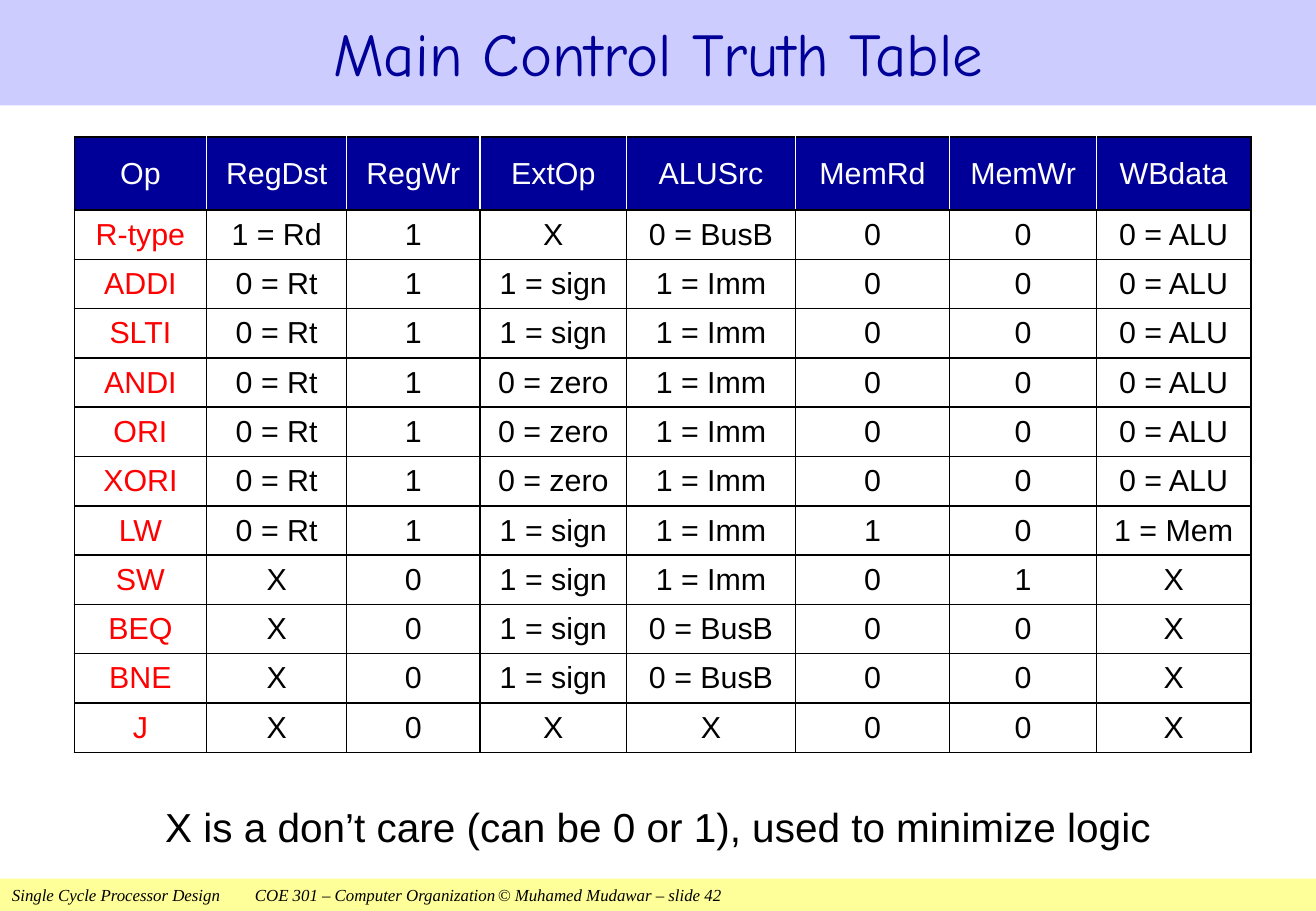
from lxml import etree
from pptx import Presentation
from pptx import util as u
from pptx.dml.color import RGBColor
from pptx.enum import shapes, text
from pptx.oxml import ns

HUES = {"navy": "000099", "lilac": "CCCCFF", "lemon": "FFFF99",
        "red": "FF0000", "black": "000000", "white": "FFFFFF"}
WIDE, HIGH = 780, 540
HEADS = "Op RegDst RegWr ExtOp ALUSrc MemRd MemWr WBdata".split()
RULES = """R-type|1 = Rd|1|X|0 = BusB|0|0|0 = ALU
ADDI|0 = Rt|1|1 = sign|1 = Imm|0|0|0 = ALU
SLTI|0 = Rt|1|1 = sign|1 = Imm|0|0|0 = ALU
ANDI|0 = Rt|1|0 = zero|1 = Imm|0|0|0 = ALU
ORI|0 = Rt|1|0 = zero|1 = Imm|0|0|0 = ALU
XORI|0 = Rt|1|0 = zero|1 = Imm|0|0|0 = ALU
LW|0 = Rt|1|1 = sign|1 = Imm|1|0|1 = Mem
SW|X|0|1 = sign|1 = Imm|0|1|X
BEQ|X|0|1 = sign|0 = BusB|0|0|X
BNE|X|0|1 = sign|0 = BusB|0|0|X
J|X|0|X|X|0|0|X"""
WIDTHS = [78.5, 83, 79, 87, 100, 91.5, 87, 91.5]


class Deck:
    """Holds the style and the current slide, and draws each kind of element."""

    def __init__(self, show):
        """Add a title-only slide to the show."""
        self.slide = show.slides.add_slide(show.slide_layouts[5])

    def hue(self, name):
        """Return a named colour."""
        return RGBColor.from_string(HUES[name])

    def paint(self, shape, name):
        """Fill a shape or cell with a named colour."""
        shape.fill.solid()
        shape.fill.fore_color.rgb = self.hue(name)

    def label(self, frame, words, size, hue="black", font="Arial",
              align=text.PP_ALIGN.CENTER, slant=False):
        """Put one formatted line of words in a text frame."""
        frame.text = words
        para = frame.paragraphs[0]
        para.alignment = align
        for run in para.runs:
            run.font.size, run.font.name = u.Pt(size), font
            run.font.italic = slant
            run.font.color.rgb = self.hue(hue)
        return para

    def title(self, words, high):
        """Format the title placeholder as a band across the top."""
        band = self.slide.shapes.title
        band.left, band.top = u.Pt(0), u.Pt(0)
        band.width, band.height = u.Pt(WIDE), u.Pt(high)
        self.paint(band, "lilac")
        frame = band.text_frame
        frame.auto_size = text.MSO_AUTO_SIZE.NONE
        frame.vertical_anchor = text.MSO_ANCHOR.MIDDLE
        self.label(frame, words, 36, "navy", "Comic Neue")

    def footer(self, words, high, stops):
        """Draw the bottom band with its tabbed line."""
        band = self.slide.shapes.add_shape(
            shapes.MSO_SHAPE.RECTANGLE, u.Pt(0), u.Pt(HIGH - high), u.Pt(WIDE), u.Pt(high))
        band.shadow.inherit = False
        band.line.fill.background()
        self.paint(band, "lemon")
        frame = band.text_frame
        frame.margin_top = frame.margin_bottom = u.Pt(0)
        frame.vertical_anchor = text.MSO_ANCHOR.MIDDLE
        para = self.label(frame, words, 10, font="Times New Roman",
                          align=text.PP_ALIGN.LEFT, slant=True)
        tabs = etree.SubElement(para._p.get_or_add_pPr(), ns.qn("a:tabLst"))
        for stop in stops:
            etree.SubElement(tabs, ns.qn("a:tab"), pos=str(u.Pt(stop)), algn="l")

    def note(self, words, left, top, wide, high):
        """Add a centred line of text."""
        box = self.slide.shapes.add_textbox(u.Pt(left), u.Pt(top), u.Pt(wide), u.Pt(high))
        box.text_frame.word_wrap = True
        self.label(box.text_frame, words, 24).line_spacing = 1.1

    def edge(self, cell, side, name):
        """Draw one border of a cell."""
        line = etree.SubElement(cell._tc.get_or_add_tcPr(), ns.qn("a:ln" + side),
                                w=str(u.Pt(1)))
        fill = etree.SubElement(line, ns.qn("a:solidFill"))
        etree.SubElement(fill, ns.qn("a:srgbClr"), val=HUES[name])

    def cell(self, cell, words, head, first, last):
        """Format one cell of the truth table."""
        cell.margin_left = cell.margin_right = u.Pt(2)
        cell.margin_top = cell.margin_bottom = u.Pt(3.6)
        cell.vertical_anchor = text.MSO_ANCHOR.MIDDLE
        self.edge(cell, "L", "white" if head and not first else "black")
        self.edge(cell, "R", "white" if head and not last else "black")
        self.edge(cell, "T", "black")
        self.edge(cell, "B", "black")
        self.paint(cell, "navy" if head else "white")
        hue = "white" if head else "red" if first else "black"
        self.label(cell.text_frame, words, 18, hue)

    def table(self, rows, left, top, widths, tall, low):
        """Add the truth table with a taller header row."""
        high = tall + low * (len(rows) - 1)
        grid = self.slide.shapes.add_table(
            len(rows), len(widths), u.Pt(left), u.Pt(top), u.Pt(sum(widths)), u.Pt(high)).table
        for col, wide in zip(grid.columns, widths):
            col.width = u.Pt(wide)
        for r, row in enumerate(rows):
            grid.rows[r].height = u.Pt(low if r else tall)
            for c, words in enumerate(row):
                self.cell(grid.cell(r, c), words, r == 0, c == 0, c == len(row) - 1)


show = Presentation()
show.slide_width, show.slide_height = u.Pt(WIDE), u.Pt(HIGH)
deck = Deck(show)
deck.title("Main Control Truth Table", 62.5)
deck.table([HEADS] + [line.split("|") for line in RULES.splitlines()],
           44, 81.25, WIDTHS, 43.25, 29.25)
deck.note("X is a don’t care (can be 0 or 1), used to minimize logic", 39, 469, 702, 39.5)
deck.footer("Single Cycle Processor Design\tCOE 301 – Computer Organization"
            "\t© Muhamed Mudawar – slide 42", 19.25, [144, 288])
show.save("out.pptx")
